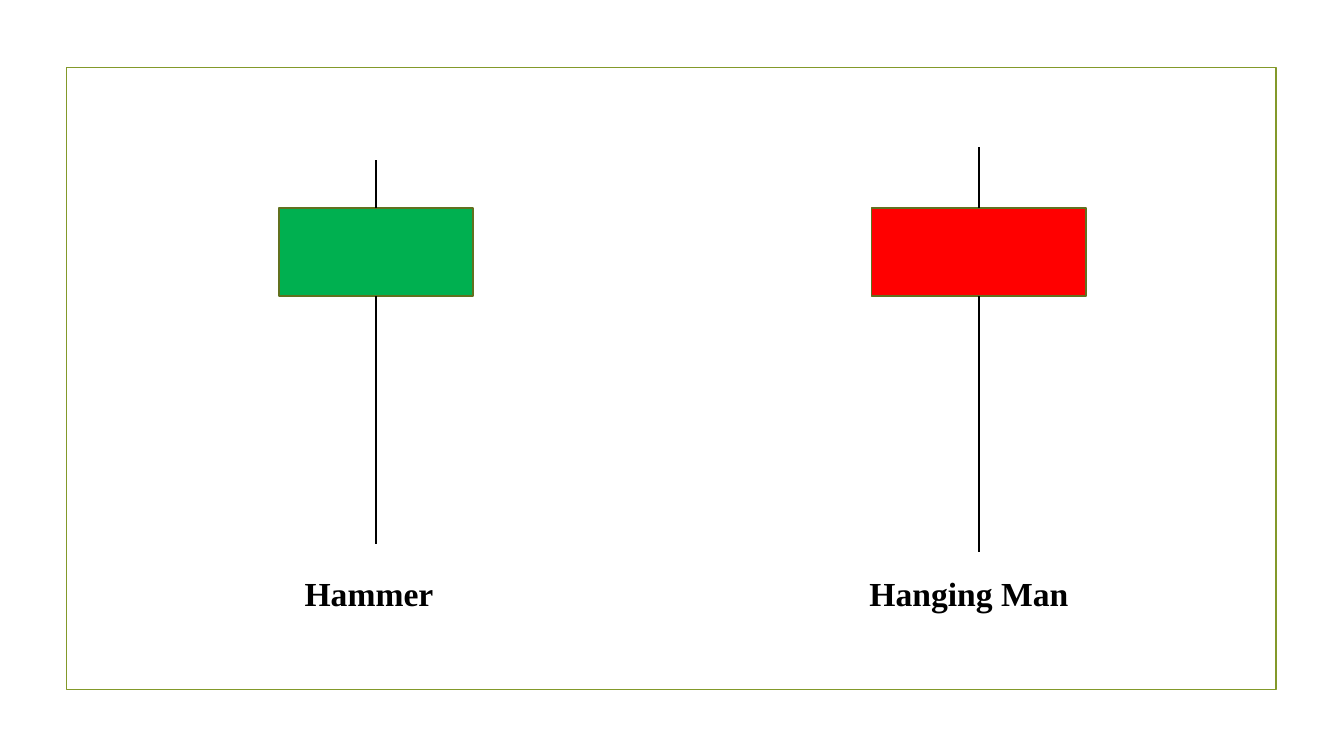
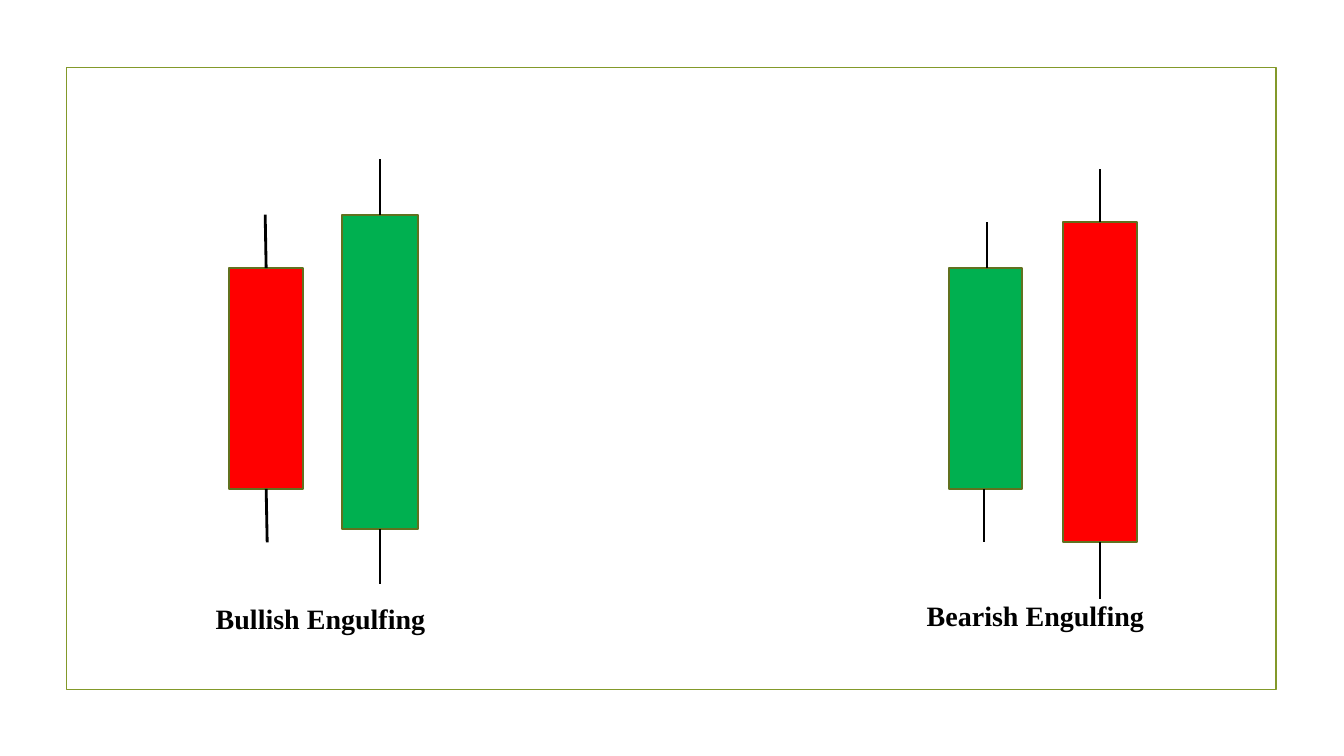
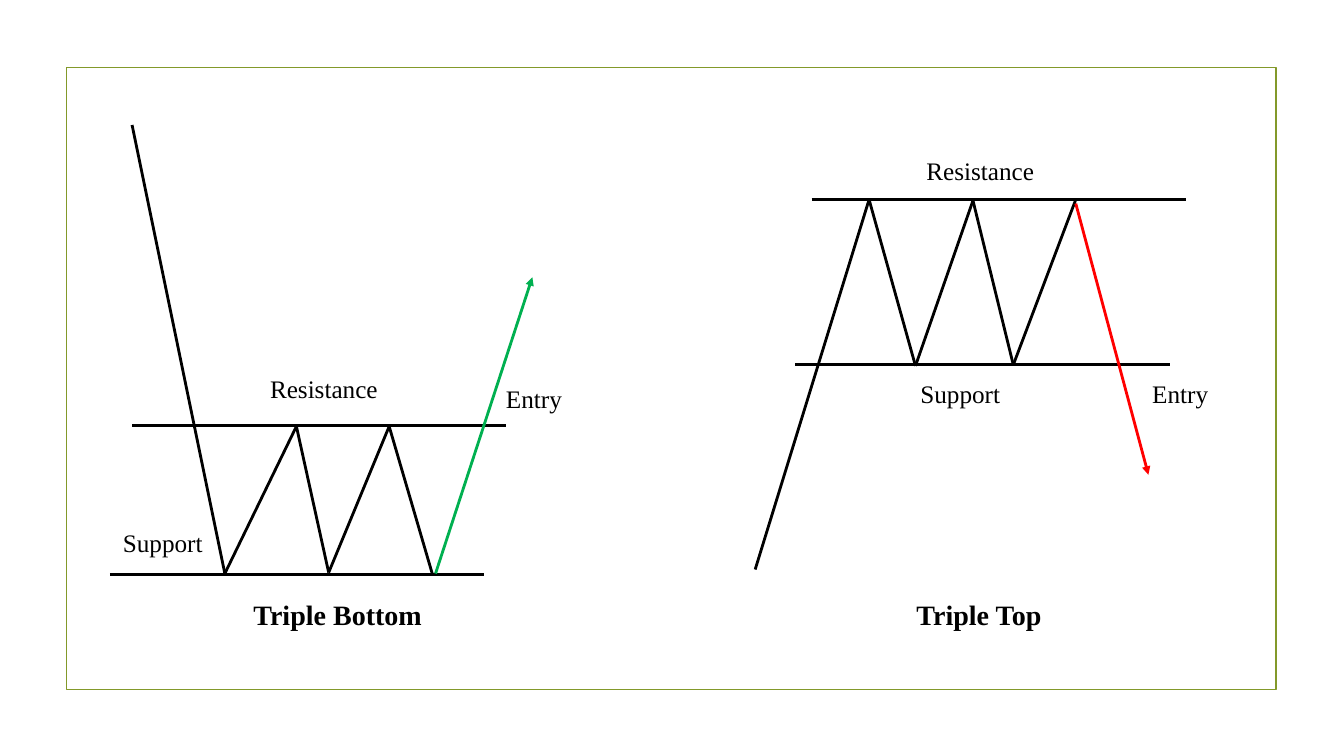
import itertools
import pptx
import pptx.util
import pptx.dml.color
import pptx.enum.shapes
import pptx.enum.text
import pptx.oxml.ns
import lxml.etree

RGBColor = pptx.dml.color.RGBColor
GREEN = RGBColor(0x00, 0xB0, 0x50)
RED = RGBColor(0xFF, 0x00, 0x00)
BLACK = RGBColor(0x00, 0x00, 0x00)
OLIVE = RGBColor(0x83, 0x99, 0x2A)
MOSS = RGBColor(0x61, 0x71, 0x1F)
FONT = "Times New Roman"

WIDE = pptx.util.Inches(13.33)
HIGH = pptx.util.Inches(7.5)
CELL = HIGH / 75
FRAME = (6.6, 6.7, 120, 61.7)
LEFT = FRAME[:2]
RIGHT = (FRAME[0] + FRAME[2] / 2, FRAME[1])


def cells(*counts):
    """Turn grid cells into slide lengths."""
    return [pptx.util.Emu(round(count * CELL)) for count in counts]


def place(box, x, y):
    """Turn a point of a box into a point of the slide grid."""
    return box[0] + x, box[1] + y


def rect(slide, area, edge, fill=None):
    """Draw an outlined rectangle."""
    kind = pptx.enum.shapes.MSO_SHAPE.RECTANGLE
    shape = slide.shapes.add_shape(kind, *cells(*area))
    shape.shadow.inherit = False
    if fill is None:
        shape.fill.background()
    else:
        shape.fill.solid()
        shape.fill.fore_color.rgb = fill
    shape.line.color.rgb = edge
    shape.line.width = pptx.util.Pt(1.25)


def line(slide, box, start, end, color=BLACK, arrow=False):
    """Draw a straight line, with an arrowhead at its end if asked."""
    kind = pptx.enum.shapes.MSO_CONNECTOR.STRAIGHT
    ends = cells(*place(box, *start), *place(box, *end))
    stroke = slide.shapes.add_connector(kind, *ends)
    stroke.line.color.rgb = color
    stroke.line.width = pptx.util.Pt(2)
    qn = pptx.oxml.ns.qn
    if arrow:
        outline = stroke.line._get_or_add_ln()
        lxml.etree.SubElement(outline, qn("a:tailEnd"), type="triangle")
    lxml.etree.SubElement(stroke._element.spPr, qn("a:effectLst"))


def write(slide, box, spot, text, size=18, wide=20, bold=False, center=False):
    """Write one line of text at a spot of the box."""
    area = cells(*place(box, *spot), wide, size / 5)
    frame = slide.shapes.add_textbox(*area).text_frame
    frame.word_wrap = True
    para = frame.paragraphs[0]
    para.text = text
    if center:
        para.alignment = pptx.enum.text.PP_ALIGN.CENTER
    para.font.name = FONT
    para.font.size = pptx.util.Pt(size)
    para.font.bold = bold
    para.font.color.rgb = BLACK


def title(slide, box, mid, top, text, size=20):
    """Write a bold caption centred on a column of the box."""
    wide = 29
    write(slide, box, (mid - wide / 2, top), text, size, wide, True, True)


def candle(slide, box, fill, mid, top, wide, tall, up, down, lean=0, shift=0):
    """Draw a candle body with its upper and lower wicks."""
    rect(slide, (*place(box, mid - wide / 2, top), wide, tall), MOSS, fill)
    base = top + tall
    line(slide, box, (mid + shift, top), (mid + shift - lean, top - up))
    line(slide, box, (mid - shift, base), (mid - shift + lean, base + down))


def trend(slide, box, levels, path, exit, color, labels):
    """Draw two price levels, a zigzag path, an entry arrow and labels."""
    for x, y in levels:
        line(slide, box, (x, y), (x + 37.1, y))
    for start, end in itertools.pairwise(path):
        line(slide, box, start, end)
    line(slide, box, *exit, color, True)
    for text, spot in zip(("Resistance", "Support", "Entry"), labels):
        write(slide, box, spot, text)


def page(deck):
    """Add a blank slide with the shared frame."""
    slide = deck.slides.add_slide(deck.slide_layouts[6])
    rect(slide, FRAME, OLIVE)
    return slide


def hammers(deck):
    """Build the slide of single candles."""
    slide = page(deck)
    candle(slide, LEFT, GREEN, 30.7, 13.9, 19.2, 8.8, 4.7, 24.6)
    candle(slide, RIGHT, RED, 30.5, 13.9, 21.3, 8.8, 6, 25.4)
    title(slide, LEFT, 30, 49.6, "Hammer", 24)
    title(slide, RIGHT, 29.5, 49.6, "Hanging Man", 24)


def engulfs(deck):
    """Build the slide of candle pairs."""
    slide = page(deck)
    candle(slide, LEFT, RED, 19.8, 19.9, 7.3, 21.9, 5.3, 5.3, lean=0.1)
    candle(slide, LEFT, GREEN, 31.1, 14.6, 7.6, 31.2, 5.5, 5.4)
    candle(slide, RIGHT, GREEN, 31.15, 19.9, 7.3, 21.9, 4.6, 5.3, shift=0.15)
    candle(slide, RIGHT, RED, 42.5, 15.3, 7.3, 31.8, 5.2, 5.6)
    title(slide, LEFT, 25.2, 52.5, "Bullish Engulfing")
    title(slide, RIGHT, 36.1, 52.2, "Bearish Engulfing")


def triples(deck):
    """Build the slide of triple reversals."""
    slide = page(deck)
    trend(slide, LEFT, [(4.3, 50.3), (6.5, 35.5)],
          [(6.5, 5.7), (15.7, 50.2), (22.8, 35.6),
           (26, 50.1), (32, 35.6), (36.3, 50.3)],
          [(36.6, 50.2), (46.2, 20.8)], GREEN,
          [(19.2, 29.8), (4.6, 45.1), (42.6, 30.8)])
    trend(slide, RIGHT, [(13.9, 13.1), (12.3, 29.5)],
          [(8.3, 49.8), (19.6, 13.1), (24.2, 29.6),
           (29.9, 13.2), (33.9, 29.5), (40.1, 13.1)],
          [(40.1, 13.5), (47.3, 40.4)], RED,
          [(24.3, 8.2), (23.7, 30.3), (46.7, 30.3)])
    title(slide, LEFT, 26.9, 52.1, "Triple Bottom")
    title(slide, RIGHT, 30.5, 52.1, "Triple Top")


def main():
    """Build and save the deck."""
    deck = pptx.Presentation()
    deck.slide_width = WIDE
    deck.slide_height = HIGH
    for build in (hammers, engulfs, triples):
        build(deck)
    deck.save("out.pptx")


if __name__ == "__main__":
    main()
